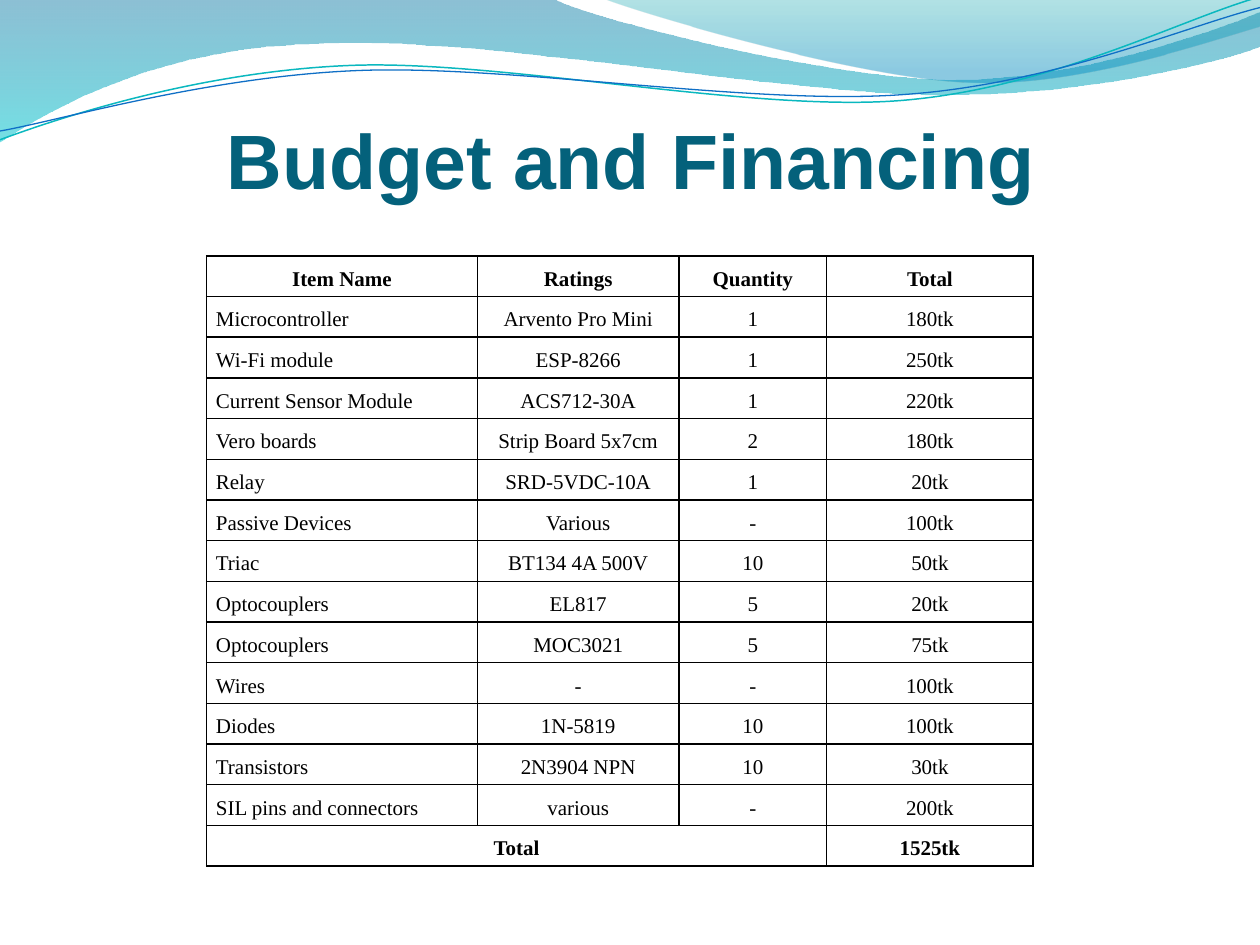
import pptx
import pptx.util
import pptx.dml.color
import pptx.enum.text
import pptx.oxml
import pptx.oxml.ns

Pt = pptx.util.Pt
RGBColor = pptx.dml.color.RGBColor
ALIGN = pptx.enum.text.PP_ALIGN
ANCHOR = pptx.enum.text.MSO_ANCHOR
qn = pptx.oxml.ns.qn

BLACK = RGBColor(0x00, 0x00, 0x00)
TITLE = RGBColor(0x04, 0x61, 0x7B)
DEEP = RGBColor(0x00, 0x74, 0xA1)
AQUA = RGBColor(0x00, 0xC6, 0xCF)
TEAL = RGBColor(0x00, 0xA1, 0xA9)
BLUE = RGBColor(0x00, 0x8B, 0xBF)
CYAN = RGBColor(0x0A, 0xB8, 0xBF)
ROYAL = RGBColor(0x0F, 0x6F, 0xC6)

# Outlines as steps: two numbers make a line, six make a curve.
BAND = [(0, 0), (317, -0.5), (343, 12, 478, 45.4, 546, 45.4),
        (614, 45.4, 690, 18.7, 720, 6.5), (720.7, 26),
        (708, 31.7, 626, 54.7, 537, 54), (447, 54, 275, 20.2, 185, 24.5),
        (93, 26, 33, 59.8, -0.7, 81.4), (0, 0)]
SWEEP = [(345, -0.7), (366.5, 8, 491, 44.6, 553.7, 46.8),
         (616, 49.7, 692, 23, 720, 15), (720, 0), (345, -0.7)]
UPPER = [(-1.4, 62.9), (33.8, 51.7, 114.1, 29.4, 199.8, 29.9),
         (284.9, 30.3, 425.8, 67.2, 512.4, 64.8), (599, 62.3, 676.4, 25.7, 720.2, 15.6)]
LOWER = [(-1.1, 57.9), (33, 53.6, 118.2, 32.5, 204.1, 33),
         (290.4, 33.4, 428.9, 63.8, 515.5, 61.4), (601.4, 59.6, 678.4, 30, 721.4, 21.3)]
TILT = 357.3

WIDTHS = [154.8, 115.2, 84.4, 118]
HEADS = ["Item Name", "Ratings", "Quantity", "Total"]
ITEMS = [
    ["Microcontroller", "Arvento Pro Mini", "1", "180tk"],
    ["Wi-Fi module", "ESP-8266", "1", "250tk"],
    ["Current Sensor Module", "ACS712-30A", "1", "220tk"],
    ["Vero boards", "Strip Board 5x7cm", "2", "180tk"],
    ["Relay", "SRD-5VDC-10A", "1", "20tk"],
    ["Passive Devices", "Various", "-", "100tk"],
    ["Triac", "BT134 4A 500V", "10", "50tk"],
    ["Optocouplers", "EL817", "5", "20tk"],
    ["Optocouplers", "MOC3021", "5", "75tk"],
    ["Wires", "-", "-", "100tk"],
    ["Diodes", "1N-5819", "10", "100tk"],
    ["Transistors", "2N3904 NPN", "10", "30tk"],
    ["SIL pins and connectors", "various", "-", "200tk"],
]
SUM = ["Total", "", "", "1525tk"]


def write(frame, text, font="Times New Roman", size=12, color=BLACK,
          bold=False, align=ALIGN.CENTER, space=1.0):
    para = frame.paragraphs[0]
    para.alignment = align
    para.line_spacing = space
    run = para.add_run()
    run.text = text
    run.font.name = font
    run.font.size = Pt(size)
    run.font.color.rgb = color
    run.font.bold = bold


def bend(shape, steps):
    """Join each three line nodes of a six-number step into one curve."""
    nodes = iter(list(shape.element.iter(qn("a:lnTo"))))
    for step in steps[1:]:
        first = next(nodes)
        if len(step) == 6:
            first.tag = qn("a:cubicBezTo")
            for _ in range(2):
                node = next(nodes)
                first.append(node[0])
                node.getparent().remove(node)


def add_path(slide, left, top, steps, close):
    points = [(Pt(left + x), Pt(top + y))
              for step in steps for x, y in zip(step[::2], step[1::2])]
    pen = slide.shapes.build_freeform(*points[0])
    pen.add_line_segments(points[1:], close=close)
    shape = pen.convert_to_shape()
    bend(shape, steps)
    shape.shadow.inherit = False
    return shape


def add_wave(slide, left, top, steps, stops):
    """Fill an outline downward with stops of place, colour and opacity."""
    shape = add_path(slide, left, top, steps, True)
    shape.line.fill.background()
    shape.fill.gradient()
    shape.fill.gradient_angle = 270
    for mark, (place, color, _) in zip(shape.fill.gradient_stops, stops):
        mark.position = place
        mark.color.rgb = color
    tints = list(shape.element.spPr.iter(qn("a:srgbClr")))
    for tint, (_, _, alpha) in zip(tints, stops):
        tint.append(tint.makeelement(qn("a:alpha"), {"val": str(alpha * 1000)}))


def add_curve(slide, left, top, steps, color, width):
    shape = add_path(slide, left, top, steps, False)
    shape.rotation = TILT
    shape.fill.background()
    shape.line.color.rgb = color
    shape.line.width = Pt(width)


def add_header(slide, left, top):
    add_wave(slide, left, top, BAND, [(0, DEEP, 45), (1, AQUA, 55)])
    add_wave(slide, left, top, SWEEP, [(0, TEAL, 30), (0.8, BLUE, 45)])
    add_curve(slide, left, top, UPPER, CYAN, 0.85)
    add_curve(slide, left, top, LOWER, ROYAL, 0.75)


def add_title(slide, left, top, width, height):
    box = slide.shapes.add_textbox(Pt(left), Pt(top), Pt(width), Pt(height))
    frame = box.text_frame
    frame.word_wrap = True
    frame.vertical_anchor = ANCHOR.BOTTOM
    frame.margin_left = frame.margin_right = frame.margin_bottom = 0
    frame.margin_top = Pt(3.6)
    write(frame, "Budget and Financing", font="Arial", size=44, color=TITLE, bold=True)


def add_border(cell, color, width):
    props = cell._tc.get_or_add_tcPr()
    for side in ("lnL", "lnR", "lnT", "lnB"):
        props.append(pptx.oxml.parse_xml(
            f'<a:{side} {pptx.oxml.ns.nsdecls("a")} w="{Pt(width)}">'
            f'<a:solidFill><a:srgbClr val="{color}"/></a:solidFill></a:{side}>'))


def add_budget(slide, left, top, height):
    rows = [HEADS, *ITEMS, SUM]
    last = len(rows) - 1
    table = slide.shapes.add_table(len(rows), len(WIDTHS), Pt(left), Pt(top),
                                   Pt(sum(WIDTHS)), Pt(height)).table
    table.first_row = table.horz_banding = False
    for column, width in zip(table.columns, WIDTHS):
        column.width = Pt(width)
    for r, row in enumerate(rows):
        table.rows[r].height = Pt(height / len(rows))
        strong = r in (0, last)
        for c, text in enumerate(row):
            cell = table.cell(r, c)
            cell.margin_left = cell.margin_right = Pt(5.4)
            cell.margin_top = cell.margin_bottom = 0
            add_border(cell, BLACK, 1)
            cell.fill.background()
            if text:
                align = ALIGN.LEFT if c == 0 and not strong else ALIGN.CENTER
                write(cell.text_frame, text, bold=strong, align=align, space=1.5)
    table.cell(last, 0).merge(table.cell(last, 2))


def main():
    deck = pptx.Presentation()
    deck.slide_width, deck.slide_height = Pt(720), Pt(540)
    slide = deck.slides.add_slide(deck.slide_layouts[6])
    add_header(slide, 0, 0)
    add_title(slide, 36.8, 48.6, 648, 68.4)
    add_budget(slide, 118, 146.2, 348.9)
    deck.save("out.pptx")


if __name__ == "__main__":
    main()
